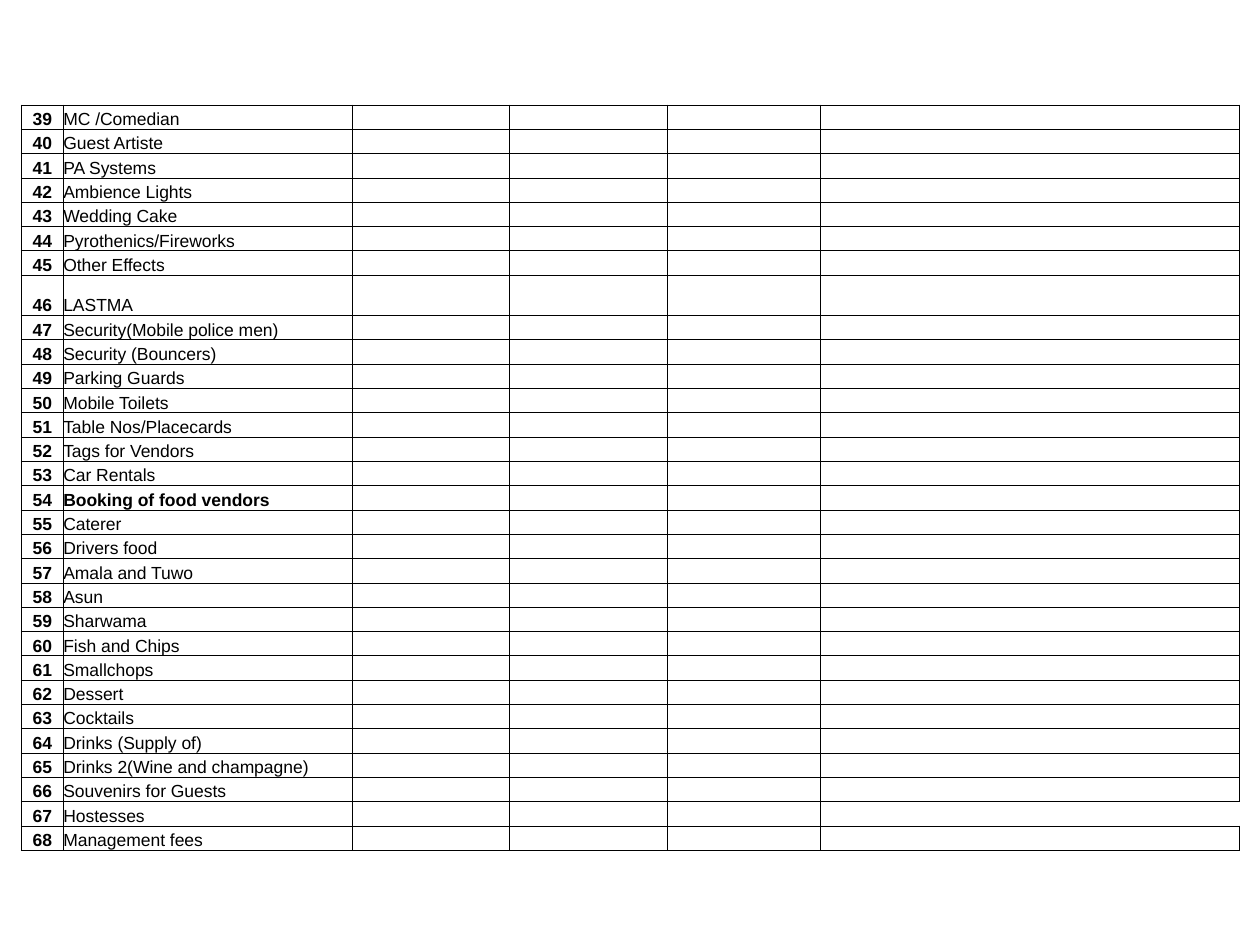
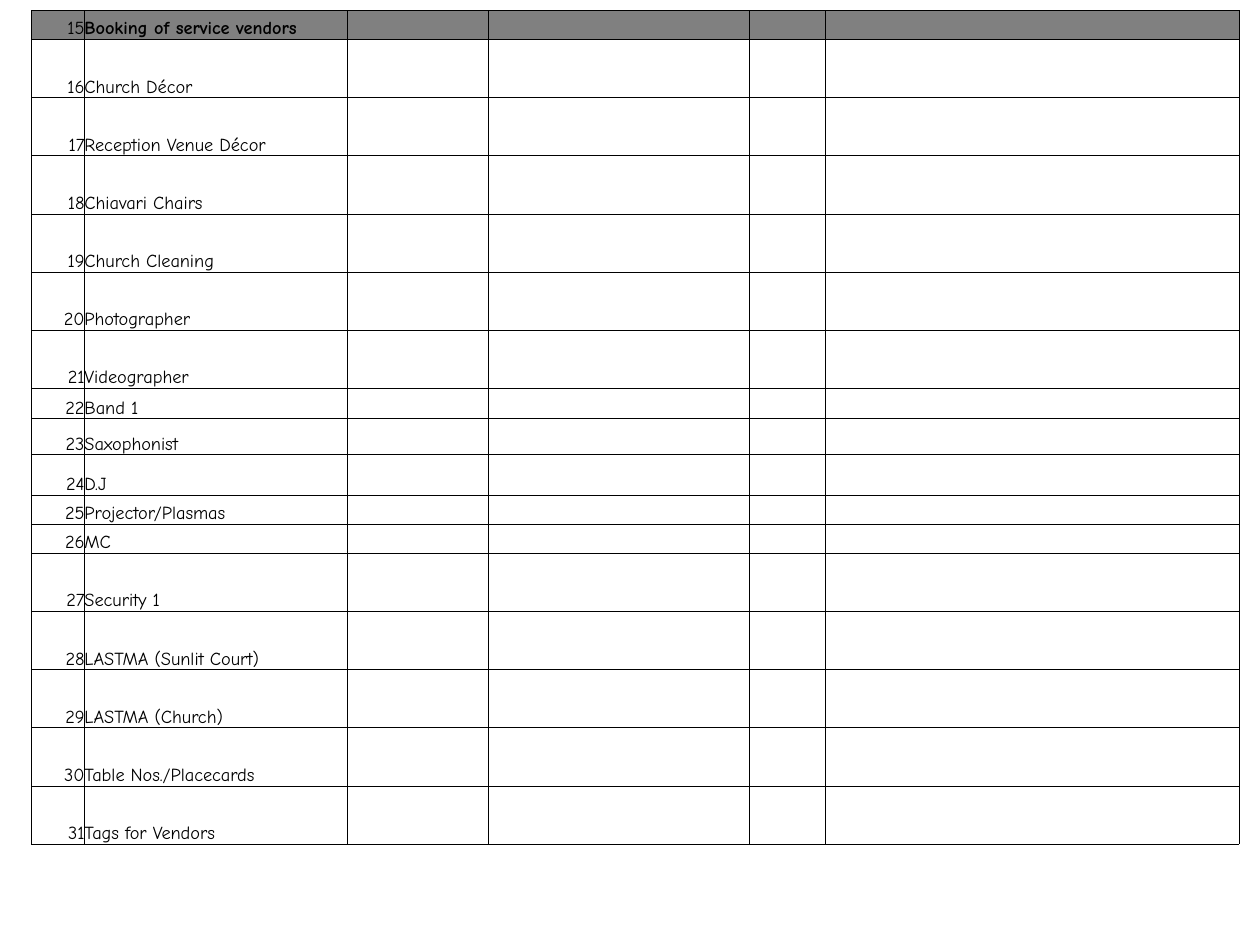
from dataclasses import dataclass

from lxml import etree
from pptx import Presentation
from pptx import util as u
from pptx.dml import color
from pptx.enum import text
from pptx.oxml import ns

BLACK, WHITE, GREY = "000000", "FFFFFF", "808080"
BORDER_WIDTH = u.Pt(0.5)
PLAIN_TABLE = "{2D5ABB26-0587-4C30-8999-92F81FD0307C}"
CELL_FORMAT = {
    "margin_left": 0,
    "margin_right": 0,
    "margin_top": 0,
    "margin_bottom": 0,
    "vertical_anchor": text.MSO_ANCHOR.BOTTOM,
}
TABLE_FORMAT = {"first_row": False, "horz_banding": False}


@dataclass(frozen=True)
class Checklist:
    left: float
    top: float
    columns: list[float]
    usual_height: float
    special_heights: dict[int, float]
    first_number: int
    services: list[str]
    heading: int
    heading_fill: str | None
    number_align: text.PP_ALIGN
    number_bold: bool
    font: str
    size: float
    unfilled: set[tuple[int, int]]
    open_right: set[tuple[int, int]]

    def height(self, number: int) -> float:
        return self.special_heights.get(number, self.usual_height)

    def fill(self, number: int, column: int) -> str | None:
        if (number, column) in self.unfilled:
            return None
        return self.heading_fill if number == self.heading else WHITE


def rgb(value: str) -> color.RGBColor:
    return color.RGBColor.from_string(value)


def draw_borders(cell, open_right: bool) -> None:
    properties = cell._tc.get_or_add_tcPr()
    for position, side in enumerate(("lnL", "lnR", "lnT", "lnB")):
        line = etree.Element(ns.qn(f"a:{side}"), w=str(BORDER_WIDTH))
        if side == "lnR" and open_right:
            etree.SubElement(line, ns.qn("a:noFill"))
        else:
            fill = etree.SubElement(line, ns.qn("a:solidFill"))
            etree.SubElement(fill, ns.qn("a:srgbClr"), val=BLACK)
        properties.insert(position, line)


def write(cell, words: str, align: text.PP_ALIGN, bold: bool, plan: Checklist) -> None:
    paragraph = cell.text_frame.paragraphs[0]
    paragraph.alignment = align
    run = paragraph.add_run()
    run.text = words
    run.font.color.rgb = rgb(BLACK)
    for name, value in {"name": plan.font, "size": u.Pt(plan.size), "bold": bold}.items():
        setattr(run.font, name, value)


def keep_low(cell, size: float) -> None:
    paragraph = cell.text_frame.paragraphs[0]._p
    etree.SubElement(paragraph, ns.qn("a:endParaRPr"), sz=str(int(size * 100)))


def style_cell(cell, fill: str | None, open_right: bool) -> None:
    for name, value in CELL_FORMAT.items():
        setattr(cell, name, value)
    if fill is None:
        cell.fill.background()
    else:
        cell.fill.solid()
        cell.fill.fore_color.rgb = rgb(fill)
    draw_borders(cell, open_right)


def draw_checklist(slide, plan: Checklist) -> None:
    numbers = range(plan.first_number, plan.first_number + len(plan.services))
    frame = slide.shapes.add_table(
        len(plan.services), len(plan.columns),
        u.Pt(plan.left), u.Pt(plan.top),
        u.Pt(sum(plan.columns)), u.Pt(sum(map(plan.height, numbers))),
    )
    table = frame.table
    for name, value in TABLE_FORMAT.items():
        setattr(table, name, value)
    table._tbl.tblPr.find(ns.qn("a:tableStyleId")).text = PLAIN_TABLE
    for column, width in zip(table.columns, plan.columns):
        column.width = u.Pt(width)
    for row, number, service in zip(table.rows, numbers, plan.services):
        row.height = u.Pt(plan.height(number))
        for index, cell in enumerate(row.cells):
            spot = (number, index)
            style_cell(cell, plan.fill(*spot), spot in plan.open_right)
            if index > 1:
                keep_low(cell, plan.size)
        number_cell, service_cell = list(row.cells)[:2]
        write(number_cell, str(number), plan.number_align, plan.number_bold, plan)
        write(service_cell, service, text.PP_ALIGN.LEFT, number == plan.heading, plan)


RECEPTION = Checklist(
    left=12.2,
    top=60,
    columns=[24, 165.1, 90, 90, 87.6, 239.4],
    usual_height=13.9,
    special_heights={46: 23.1},
    first_number=39,
    services=[
        "MC /Comedian", "Guest Artiste", "PA Systems", "Ambience Lights",
        "Wedding Cake", "Pyrothenics/Fireworks", "Other Effects", "LASTMA",
        "Security(Mobile police men)", "Security (Bouncers)", "Parking Guards",
        "Mobile Toilets", "Table Nos/Placecards", "Tags for Vendors",
        "Car Rentals", "Booking of food vendors", "Caterer", "Drivers food",
        "Amala and Tuwo", "Asun", "Sharwama", "Fish and Chips", "Smallchops",
        "Dessert", "Cocktails", "Drinks (Supply of)",
        "Drinks 2(Wine and champagne)", "Souvenirs for Guests", "Hostesses",
        "Management fees",
    ],
    heading=54,
    heading_fill=None,
    number_align=text.PP_ALIGN.CENTER,
    number_bold=True,
    font="Arial",
    size=10,
    unfilled={(number, 0) for number in range(39, 69)} | {(67, 5)},
    open_right={(67, 5)},
)

SERVICE_VENDORS = Checklist(
    left=18,
    top=6,
    columns=[30.3, 150.3, 80.6, 149.1, 43.4, 236.4],
    usual_height=33.25,
    special_heights={15: 16.6, 22: 17.4, 23: 20.5, 24: 23.3, 25: 16.6, 26: 16.6},
    first_number=15,
    services=[
        "Booking of service vendors", "Church Décor", "Reception Venue Décor",
        "Chiavari Chairs", "Church Cleaning", "Photographer", "Videographer",
        "Band 1", "Saxophonist", "D.J", "Projector/Plasmas", "MC", "Security 1",
        "LASTMA (Sunlit Court)", "LASTMA (Church)", "Table Nos./Placecards",
        "Tags for Vendors",
    ],
    heading=15,
    heading_fill=GREY,
    number_align=text.PP_ALIGN.RIGHT,
    number_bold=False,
    font="Comic Neue",
    size=10.5,
    unfilled={(30, 3), (31, 3)},
    open_right=set(),
)


def main() -> None:
    deck = Presentation()
    deck.slide_width, deck.slide_height = u.Pt(720), u.Pt(540)
    for plan in (RECEPTION, SERVICE_VENDORS):
        draw_checklist(deck.slides.add_slide(deck.slide_layouts[6]), plan)
    deck.save("out.pptx")


main()
